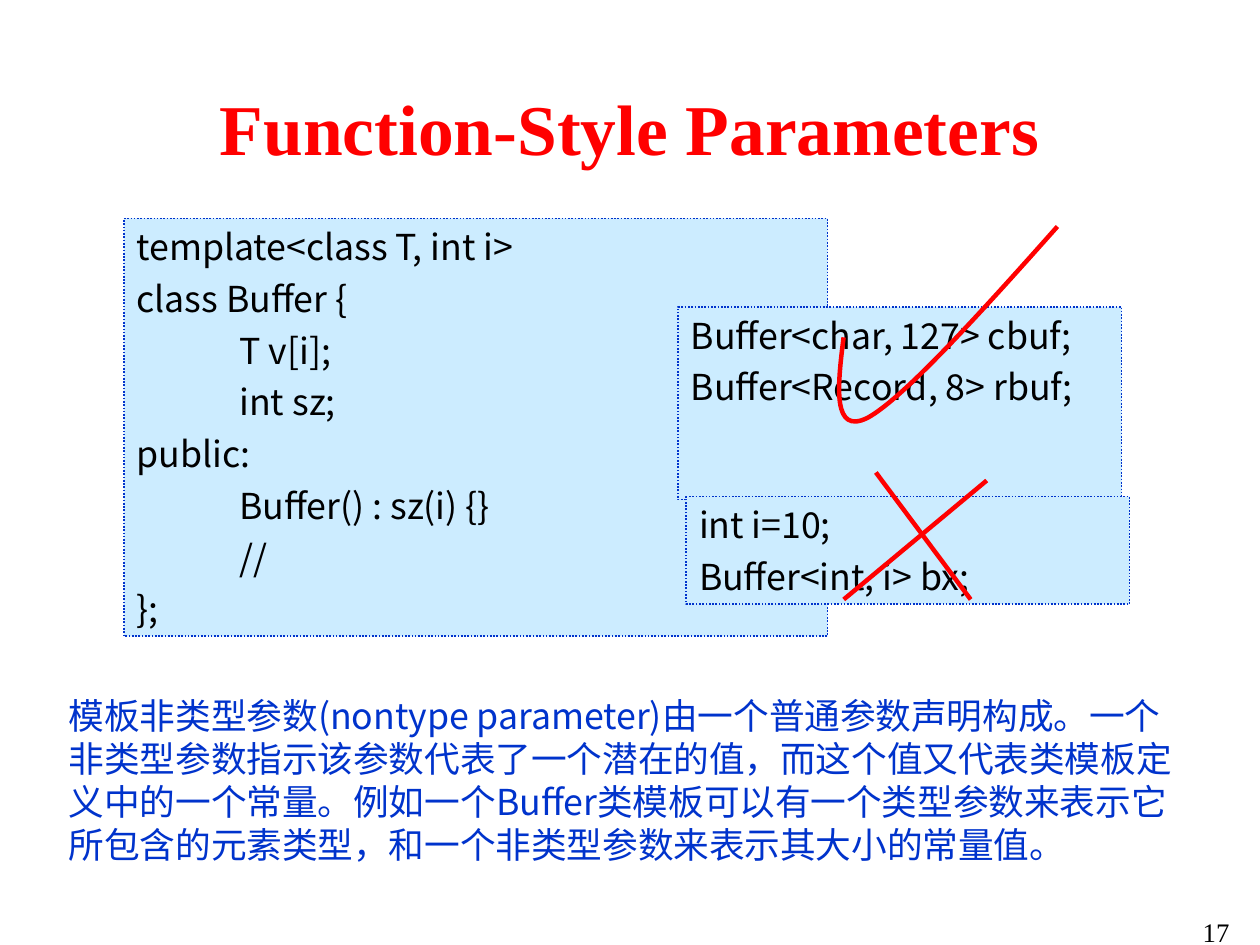
from dataclasses import dataclass

from lxml import etree
from pptx import Presentation
from pptx.dml.color import RGBColor
from pptx.enum import dml, shapes, text
from pptx.oxml import ns
from pptx.util import Inches, Pt

RED = RGBColor(0xFF, 0x00, 0x00)
BLUE = RGBColor(0x00, 0x33, 0xCC)
PALE_BLUE = RGBColor(0xCC, 0xEC, 0xFF)
BLACK = RGBColor(0x00, 0x00, 0x00)
SERIF = "Times New Roman"
CODE_FONT = "Noto Sans CJK KR"
CHINESE_FONT = "Noto Sans CJK SC"
TAB_COUNT = 7


@dataclass
class TextStyle:
    font: str
    size: float
    color: RGBColor
    tab_step: float
    bold: bool = False
    align: text.PP_ALIGN = text.PP_ALIGN.LEFT
    anchor: text.MSO_ANCHOR = text.MSO_ANCHOR.TOP
    gap: float = 0
    margins: tuple[float, float] = (0.08, 0.04)


@dataclass
class Block:
    left: float
    top: float
    width: float
    height: float
    lines: list[str]
    style: TextStyle
    boxed: bool = False


CODE = TextStyle(CODE_FONT, 16, BLACK, 0.64, gap=4)
BLOCKS = [
    Block(5.77, 5.66, 1.96, 0.41, ["17"],
          TextStyle(SERIF, 12, BLACK, 0.82, align=text.PP_ALIGN.RIGHT)),
    Block(0.26, 0.48, 7.32, 0.62, ["Function-Style Parameters"],
          TextStyle(SERIF, 32, RED, 0.82, bold=True, align=text.PP_ALIGN.CENTER,
                    anchor=text.MSO_ANCHOR.MIDDLE)),
    Block(0.77, 1.36, 4.38, 2.6,
          ["template<class T, int i>", "class Buffer {", "\tT v[i];", "\tint sz;",
           "public:", "\tBuffer() : sz(i) {}", "\t//", "};"], CODE, boxed=True),
    Block(4.22, 1.91, 2.76, 1.2,
          ["Buffer<char, 127> cbuf;", "Buffer<Record, 8> rbuf;"], CODE, boxed=True),
    Block(4.27, 3.09, 2.76, 0.67, ["int i=10;", "Buffer<int, i> bx;"], CODE, boxed=True),
    Block(0.33, 4.27, 7.14, 1.17,
          ["模板非类型参数(nontype parameter)由一个普通参数声明构成。一个非类型参数指示该参数"
           "代表了一个潜在的值，而这个值又代表类模板定义中的一个常量。例如一个Buffer类模板"
           "可以有一个类型参数来表示它所包含的元素类型，和一个非类型参数来表示其大小的常量值。"],
          TextStyle(CHINESE_FONT, 16, BLUE, 1, margins=(0.1, 0.05))),
]
# Start point, then three points for each cubic curve
CHECK_MARK = [(5.25, 2.1), (5.21, 2.41), (5.18, 2.71), (5.4, 2.6),
              (5.62, 2.48), (6.1, 1.95), (6.58, 1.41)]
CROSS = [(5.45, 2.94, 6.04, 3.73), (5.25, 3.73, 6.14, 2.99)]


def format_paragraph(paragraph, style: TextStyle) -> None:
    paragraph.alignment = style.align
    tabs = etree.SubElement(paragraph._p.get_or_add_pPr(), ns.qn("a:tabLst"))
    for stop in range(1, TAB_COUNT + 1):
        etree.SubElement(tabs, ns.qn("a:tab"), algn="l",
                         pos=str(Inches(style.tab_step * stop)))
    font = paragraph.font
    font.size, font.bold, font.name = Pt(style.size), style.bold, style.font
    font.color.rgb = style.color
    etree.SubElement(font._element, ns.qn("a:ea"), typeface=style.font)


def add_block(slide, block: Block) -> None:
    place = [Inches(n) for n in (block.left, block.top, block.width, block.height)]
    if block.boxed:
        box = slide.shapes.add_shape(shapes.MSO_SHAPE.RECTANGLE, *place)
        box.shadow.inherit = False
        box.fill.solid()
        box.fill.fore_color.rgb = PALE_BLUE
        box.line.color.rgb = BLUE
        box.line.width = Pt(0.75)
        box.line.dash_style = dml.MSO_LINE.ROUND_DOT
    else:
        box = slide.shapes.add_textbox(*place)
    frame, style = box.text_frame, block.style
    frame.word_wrap = True
    frame.vertical_anchor = style.anchor
    frame.margin_left = frame.margin_right = Inches(style.margins[0])
    frame.margin_top = frame.margin_bottom = Inches(style.margins[1])
    frame.text = "\n".join(block.lines)
    for index, paragraph in enumerate(frame.paragraphs):
        format_paragraph(paragraph, style)
        if index and style.gap:
            paragraph.space_before = Pt(style.gap)


def draw_red(line) -> None:
    line.color.rgb = RED
    line.width = Pt(2)


def add_check_mark(slide) -> None:
    """Draw the control points as a freeform, then turn its segments into curves."""
    points = [(Inches(x), Inches(y)) for x, y in CHECK_MARK]
    builder = slide.shapes.build_freeform(*points[0])
    builder.add_line_segments(points[1:], close=False)
    mark = builder.convert_to_shape()
    mark.shadow.inherit = False
    mark.fill.background()
    draw_red(mark.line)
    segments = mark._element.xpath(".//a:lnTo")
    outline = segments[0].getparent()
    for first in range(0, len(segments), 3):
        curve = etree.SubElement(outline, ns.qn("a:cubicBezTo"))
        for segment in segments[first:first + 3]:
            curve.append(segment[0])
            outline.remove(segment)


def add_cross(slide) -> None:
    cross = slide.shapes.add_group_shape()
    for ends in CROSS:
        stroke = cross.shapes.add_connector(shapes.MSO_CONNECTOR.STRAIGHT,
                                            *(Inches(n) for n in ends))
        draw_red(stroke.line)
        etree.SubElement(stroke._element.spPr, ns.qn("a:effectLst"))


def main() -> None:
    deck = Presentation()
    deck.slide_width, deck.slide_height = Inches(7.84), Inches(5.88)
    slide = deck.slides.add_slide(deck.slide_layouts[6])
    for block in BLOCKS:
        add_block(slide, block)
    add_check_mark(slide)
    add_cross(slide)
    deck.save("out.pptx")


if __name__ == "__main__":
    main()
